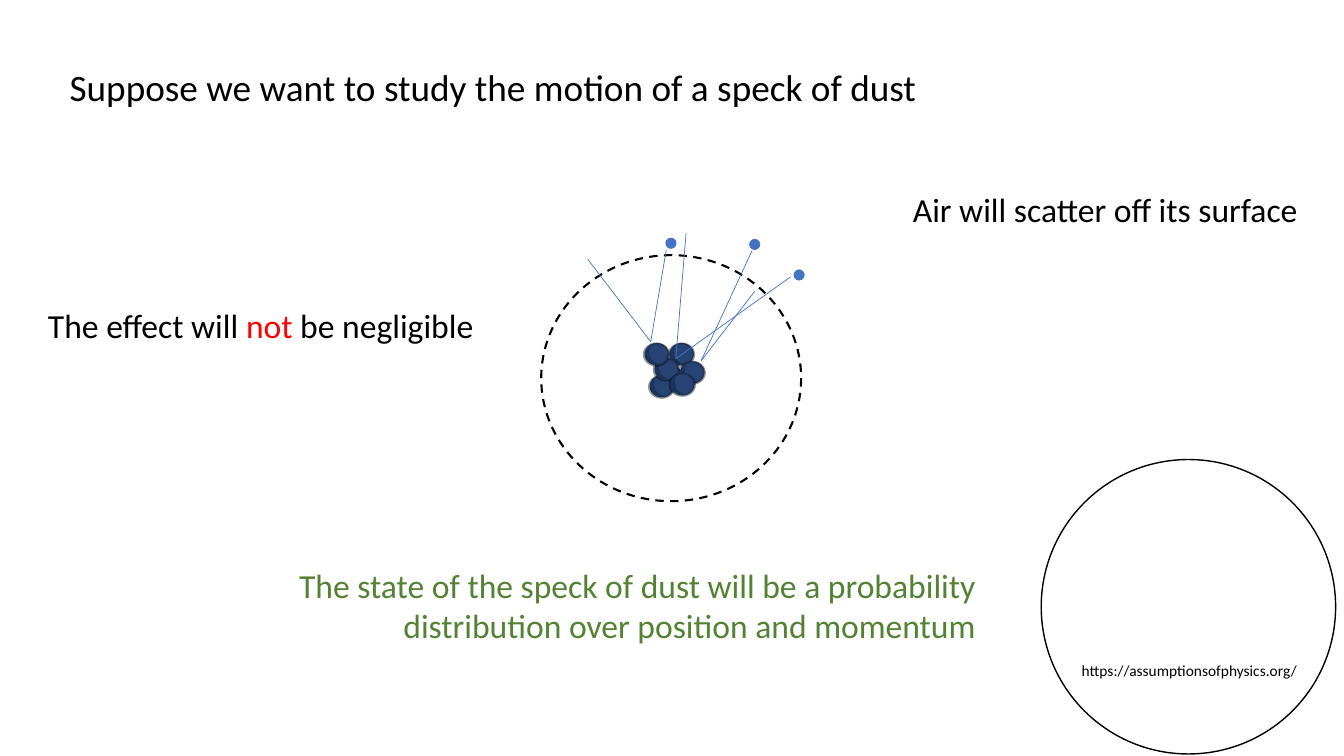
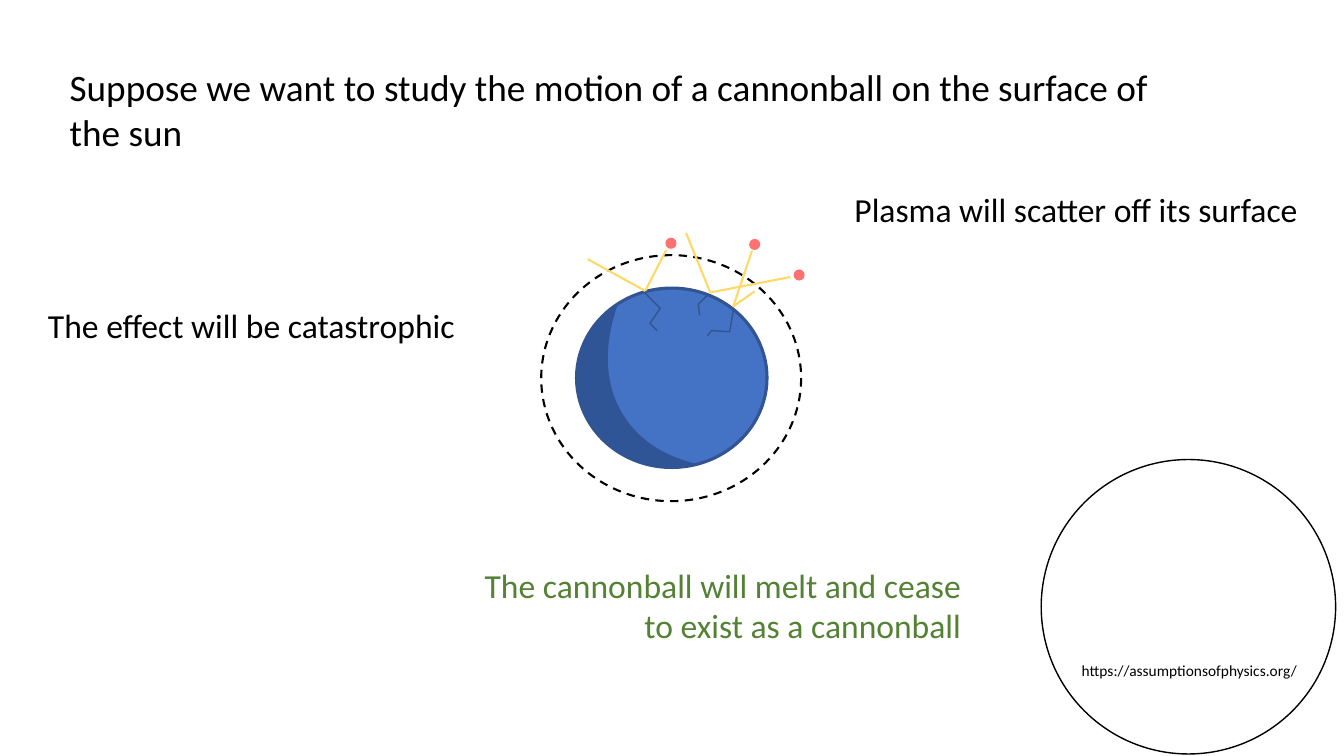
"""Two slides on how the surroundings disturb a speck of dust and a cannonball."""
from lxml.etree import SubElement
from pptx import Presentation
from pptx.dml.color import RGBColor
from pptx.enum.dml import MSO_LINE
from pptx.enum.shapes import MSO_CONNECTOR, MSO_SHAPE
from pptx.enum.text import MSO_ANCHOR, MSO_AUTO_SIZE, PP_ALIGN
from pptx.oxml.ns import qn
from pptx.util import Cm, Pt

COLORS = {
    "ink": "000000",
    "alert": "FF0000",
    "outcome": "548235",
    "ball": "4472C4",
    "shade": "2F5597",
    "rim": "325491",
    "plasma": "FF7171",
    "flash": "FFD966",
}
FONT = "Calibri"
PARTICLE_SIZE = 0.28
CRESCENT_TOP = 0.08
CRESCENT_RIGHT = 0.63
CRESCENT_START = (0.63, 0.98)
CRESCENT_CURVES = [
    [(0.4, 1.04), (0.16, 0.94), (0.06, 0.73)],
    [(-0.06, 0.5), (0.01, 0.23), (0.22, 0.08)],
    [(0.06, 0.55), (0.26, 0.89), (0.63, 0.98)],
]
PARTICLES = [(16.77, 5.99), (18.88, 6.02), (20, 6.79)]
RAY_STARTS = [(16.79, 6.3), (18.95, 6.32), (19.92, 6.98)]
RAY_EXITS = [(14.81, 6.53), (19.02, 7.34), (17.29, 5.87)]

TOPICS = [
    {
        "title": "Suppose we want to study the motion of a speck of dust",
        "title_height": 1.4,
        "scatter": "Air will scatter off its surface",
        "scatter_box": (20.88, 4.64, 12.07, 1.27),
        "effect": [("The effect will ", "ink"), ("not", "alert"), (" be negligible", "ink")],
        "outcome": "The state of the speck of dust will be a probability "
                   "distribution over position and momentum",
        "outcome_box": (6.37, 14.11, 18.47, 2.31),
        "ball_size": (0.58, 0.53),
        "rim_width": 1,
        "back_balls": [(16.64, 9.25, False), (16.39, 9.47, True), (16.89, 8.66, True)],
        "front_balls": [(16.51, 9.04, True), (16.26, 8.66, True),
                        (17.16, 9.12, True), (16.91, 9.42, True)],
        "particle": "ball",
        "ray": ("ball", 0.5),
        "hits": [(16.4, 8.61), (17.67, 9.09), (17.03, 9.04)],
        "cracks": [],
    },
    {
        "title": "Suppose we want to study the motion of a cannonball on the surface of the sun",
        "title_height": 2.54,
        "scatter": "Plasma will scatter off its surface",
        "scatter_box": (20.27, 4.64, 12.68, 1.27),
        "effect": [("The effect will be catastrophic", "ink")],
        "outcome": "The cannonball will melt and cease to exist as a cannonball",
        "outcome_box": (11.21, 14.1, 13.26, 2.31),
        "ball_size": (4.8, 4.52),
        "rim_width": 2.25,
        "back_balls": [(14.53, 7.26, False)],
        "front_balls": [],
        "particle": "plasma",
        "ray": ("flash", 1.5),
        "hits": [(16.26, 7.33), (18.48, 7.72), (17.9, 7.37)],
        "cracks": [
            [(16.26, 7.39), (16.64, 7.77), (16.38, 8.15), (16.56, 8.33)],
            [(17.83, 7.44), (17.6, 7.67), (17.63, 7.95)],
            [(18.49, 7.77), (18.39, 8.36), (17.93, 8.33), (17.83, 8.46)],
        ],
    },
]


def write_text(holder, runs, size=24, align=PP_ALIGN.LEFT, wrap=True):
    frame = holder.text_frame
    frame.word_wrap = wrap
    frame.auto_size = MSO_AUTO_SIZE.SHAPE_TO_FIT_TEXT
    frame.vertical_anchor = MSO_ANCHOR.TOP
    paragraph = frame.paragraphs[0]
    paragraph.alignment = align
    for text, color in runs:
        run = paragraph.add_run()
        run.text = text
        run.font.name = FONT
        run.font.size = Pt(size)
        run.font.color.rgb = RGBColor.from_string(COLORS[color])
    return holder


def add_oval(shapes, box, fill=None, line=None, width=1):
    oval = shapes.add_shape(MSO_SHAPE.OVAL, *map(Cm, box))
    oval.shadow.inherit = False
    if fill:
        oval.fill.solid()
        oval.fill.fore_color.rgb = RGBColor.from_string(COLORS[fill])
    else:
        oval.fill.background()
    if line:
        oval.line.color.rgb = RGBColor.from_string(COLORS[line])
        oval.line.width = Pt(width)
    else:
        oval.line.fill.background()
    return oval


prs = Presentation()
prs.slide_width, prs.slide_height = Cm(33.87), Cm(19.05)
layout = prs.slide_layouts[5]
for placeholder in list(layout.placeholders):
    if placeholder.placeholder_format.idx:
        placeholder.element.getparent().remove(placeholder.element)
    else:
        placeholder.left, placeholder.top = Cm(1.5), Cm(1.5)
        placeholder.width, placeholder.height = Cm(28.09), Cm(2.54)

slides = [prs.slides.add_slide(layout) for topic in TOPICS]
badge = add_oval(slides[0].shapes, (26.24, 11.58, 7.42, 7.42), line="ink")
address = slides[0].shapes.add_textbox(Cm(27.01), Cm(16.54), Cm(5.97), Cm(0.74))
write_text(address, [("https://assumptionsofphysics.org/", "ink")], size=11, wrap=False)
for shared in (badge, address):
    layout.shapes.element.append(shared.element)

for slide, topic in zip(slides, TOPICS):
    shapes = slide.shapes
    heading = write_text(shapes.title, [(topic["title"], "ink")], size=26.67)
    heading.left, heading.top, heading.width, heading.height = (
        heading.left, heading.top, heading.width, Cm(topic["title_height"]))

    boundary = add_oval(shapes, (13.64, 6.43, 6.55, 6.2), line="ink", width=1.5)
    boundary.line.dash_style = MSO_LINE.DASH

    for position in PARTICLES:
        add_oval(shapes, (*position, PARTICLE_SIZE, PARTICLE_SIZE), fill=topic["particle"])

    ball_width, ball_height = topic["ball_size"]
    ray_color, ray_width = topic["ray"]
    for layer in ("back_balls", "rays", "front_balls"):
        if layer == "rays":
            for start, leave, hit in zip(RAY_STARTS, RAY_EXITS, topic["hits"]):
                for begin, end in ((start, hit), (hit, leave)):
                    ray = shapes.add_connector(MSO_CONNECTOR.STRAIGHT, *map(Cm, begin + end))
                    ray.line.color.rgb = RGBColor.from_string(COLORS[ray_color])
                    ray.line.width = Pt(ray_width)
                    SubElement(ray.element.spPr, qn("a:effectLst"))
            continue
        for left, top, dimmed in topic[layer]:
            ball = shapes.add_group_shape().shapes
            add_oval(ball, (left, top, ball_width, ball_height),
                     fill="ball", line="rim", width=topic["rim_width"])

            builder = ball.build_freeform(Cm(left), Cm(top + CRESCENT_TOP * ball_height), scale=1.0)
            builder.add_line_segments(
                [(Cm(left + CRESCENT_RIGHT * ball_width), Cm(top + ball_height))], close=True)
            crescent = builder.convert_to_shape()
            outline = next(crescent.element.iter(qn("a:path")))
            for segment in list(outline):
                outline.remove(segment)
            for tag, points in (("a:moveTo", [CRESCENT_START]),
                                *(("a:cubicBezTo", curve) for curve in CRESCENT_CURVES),
                                ("a:close", [])):
                segment = SubElement(outline, qn(tag))
                for x, y in points:
                    SubElement(segment, qn("a:pt"), x=str(Cm(x * ball_width)),
                               y=str(Cm((y - CRESCENT_TOP) * ball_height)))
            crescent.shadow.inherit = False
            crescent.fill.solid()
            crescent.fill.fore_color.rgb = RGBColor.from_string(COLORS["shade"])
            crescent.line.fill.background()

            if dimmed:
                veil = add_oval(ball, (left - 0.06, top - 0.03, 0.69, 0.61), fill="ink")
                tint = veil.element.spPr.find(qn("a:solidFill"))[0]
                SubElement(tint, qn("a:alpha"), val="40000")

    for crack_points in topic["cracks"]:
        points = [(Cm(x), Cm(y)) for x, y in crack_points]
        builder = shapes.build_freeform(*points[0], scale=1.0)
        builder.add_line_segments(points[1:], close=False)
        crack = builder.convert_to_shape()
        crack.shadow.inherit = False
        crack.fill.background()
        crack.line.color.rgb = RGBColor.from_string(COLORS["rim"])
        crack.line.width = Pt(1)

    for box, runs, align in (
        (topic["scatter_box"], [(topic["scatter"], "ink")], PP_ALIGN.RIGHT),
        ((0.96, 7.57, 11.63, 1.27), topic["effect"], PP_ALIGN.LEFT),
        (topic["outcome_box"], [(topic["outcome"], "outcome")], PP_ALIGN.RIGHT),
    ):
        write_text(shapes.add_textbox(*map(Cm, box)), runs, align=align)

prs.save("out.pptx")
